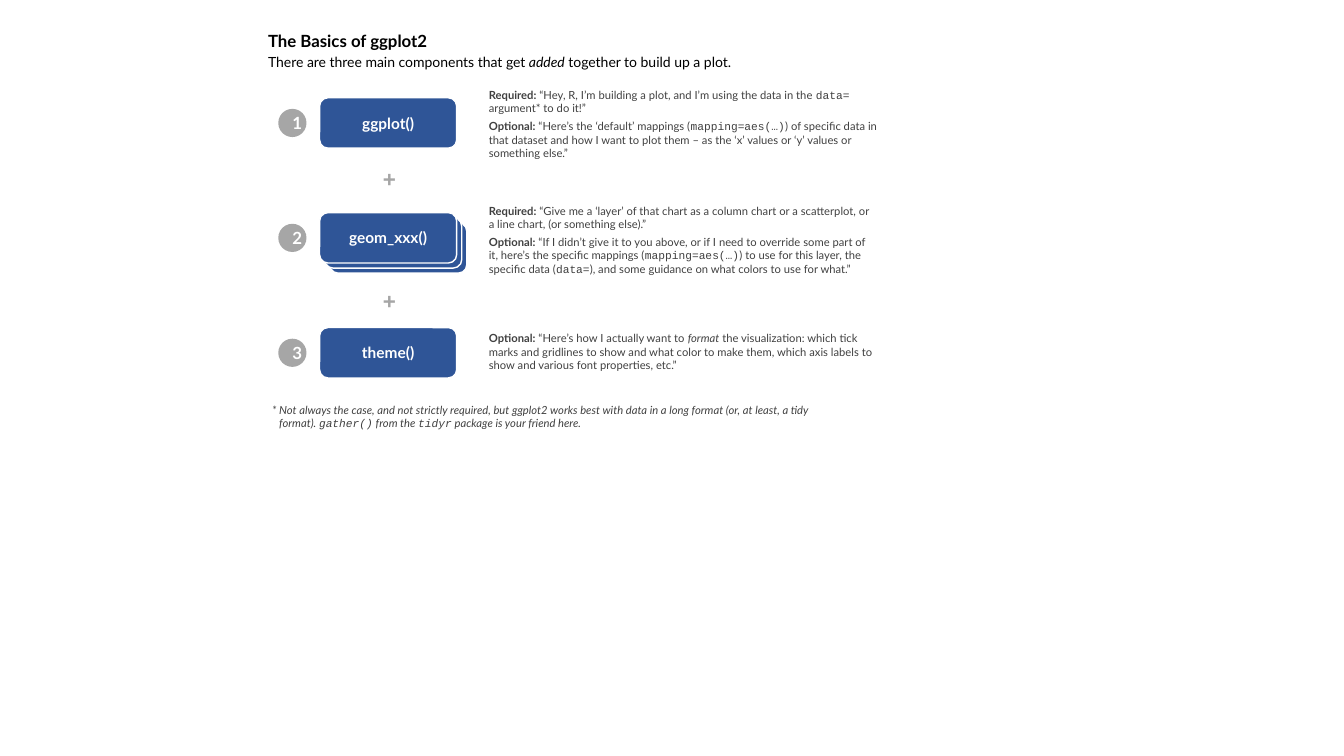
import pptx
import pptx.util
import pptx.dml.color
import pptx.enum.shapes
import pptx.enum.text

Inches = pptx.util.Inches
Align = pptx.enum.text.PP_ALIGN
Anchor = pptx.enum.text.MSO_ANCHOR
Shape = pptx.enum.shapes.MSO_SHAPE

BLUE, GRAY, WHITE, BLACK, DARK = "2F5597", "A6A6A6", "FFFFFF", "000000", "404040"
BOLD = {"bold": True}
ITALIC = {"italic": True}
CODE = {"name": "Courier New"}


def color(value):
    return pptx.dml.color.RGBColor.from_string(value)


class SlideBuilder:
    font = "Lato"

    def __init__(self, slide):
        self.slide = slide

    def fill_text(self, shape, paragraphs, size, ink, align=Align.LEFT, before=0, hanging=0, **base):
        frame = shape.text_frame
        frame.word_wrap = True
        for index, runs in enumerate(paragraphs):
            paragraph = frame.paragraphs[0] if index == 0 else frame.add_paragraph()
            paragraph.alignment = align
            paragraph.space_before = pptx.util.Pt(before)
            if hanging:
                properties = paragraph._p.get_or_add_pPr()
                properties.set("marL", str(Inches(hanging)))
                properties.set("indent", str(-Inches(hanging)))
            for text, style in runs:
                run = paragraph.add_run()
                run.text = text
                run.font.color.rgb = color(ink)
                values = {"name": self.font, "size": pptx.util.Pt(size), **base, **style}
                for name, value in values.items():
                    setattr(run.font, name, value)

    def text(self, left, top, width, height, paragraphs, size, ink, anchor=Anchor.TOP, **format_values):
        box = self.slide.shapes.add_textbox(Inches(left), Inches(top), Inches(width), Inches(height))
        box.text_frame.vertical_anchor = anchor
        box.text_frame.auto_size = pptx.enum.text.MSO_AUTO_SIZE.SHAPE_TO_FIT_TEXT
        self.fill_text(box, paragraphs, size, ink, **format_values)

    def shape(self, kind, left, top, width, height, fill, outline=None, label=None, size=11):
        shape = self.slide.shapes.add_shape(kind, Inches(left), Inches(top), Inches(width), Inches(height))
        shape.shadow.inherit = False
        shape.fill.solid()
        shape.fill.fore_color.rgb = color(fill)
        if outline:
            shape.line.color.rgb = color(outline)
            shape.line.width = pptx.util.Pt(1)
        else:
            shape.line.fill.background()
        if label:
            shape.text_frame.vertical_anchor = Anchor.MIDDLE
            self.fill_text(shape, [[(label, BOLD)]], size, WHITE, Align.CENTER)

    def function_box(self, left, top, label=None):
        self.shape(Shape.ROUNDED_RECTANGLE, left, top, 1.36, 0.5, BLUE, WHITE, label)

    def number(self, left, top, label):
        self.shape(Shape.OVAL, left, top, 0.28, 0.28, GRAY, label=label, size=12)


presentation = pptx.Presentation()
presentation.slide_width = Inches(13.33)
presentation.slide_height = Inches(7.5)
builder = SlideBuilder(presentation.slides.add_slide(presentation.slide_layouts[6]))

builder.text(2.56, 0.26, 6.18, 0.3, [[("The Basics of ggplot2", BOLD)]], 12, BLACK)
builder.text(2.56, 0.48, 6.18, 0.27, [[
    ("There are three main components that get ", {}),
    ("added", ITALIC),
    (" together to build up a plot.", {}),
]], 10, BLACK)

components = [
    ("ggplot()", 0, 0.82, 0.82, [
        [("Required: ", BOLD),
         ("“Hey, R, I’m building a plot, and I’m using the data in the ", {}),
         ("data= ", CODE),
         ("argument* to do it!”", {})],
        [("Optional:", BOLD),
         (" “Here’s the ‘default’ mappings (", {}),
         ("mapping=aes(…)", CODE),
         (") of specific data in that dataset and how I want to plot them – as the ‘x’ values "
          "or ‘y’ values or something else.”", {})],
    ]),
    ("geom_xxx()", 2, 1.97, 0.82, [
        [("Required: ", BOLD),
         ("“Give me a ‘layer’ of that chart as a column chart or a scatterplot, or a line chart, "
          "(or something else).”", {})],
        [("Optional:", BOLD),
         (" “If I didn’t give it to you above, or if I need to override some part of it, "
          "here’s the specific mappings (", {}),
         ("mapping=aes(…)", CODE),
         (") to use for this layer, the specific data (", {}),
         ("data=", CODE),
         ("), and some guidance on what colors to use for what.”", {})],
    ]),
    ("theme()", 0, 3.24, 0.5, [
        [("Optional:", BOLD),
         (" “Here’s how I actually want to ", {}),
         ("format", ITALIC),
         (" the visualization: which tick marks and gridlines to show and what color to make them, "
          "which axis labels to show and various font properties, etc.”", {})],
    ]),
]
for row, (name, layers, text_top, text_height, description) in enumerate(components):
    top = 0.97 + 1.14 * row
    for layer in range(layers, 0, -1):
        builder.function_box(3.17 + 0.05 * layer, top + 0.05 * layer)
    builder.function_box(3.17, top, name)
    builder.number(2.76, top + 0.11, str(row + 1))
    builder.text(4.75, text_top, 4.06, text_height, description, 8, DARK, Anchor.MIDDLE, before=3)

for top in (1.59, 2.8):
    builder.text(3.7, top, 0.31, 0.37, [[("+", BOLD)]], 16, GRAY, align=Align.CENTER, name="Arial")

builder.text(2.6, 3.95, 5.91, 0.37, [[
    ("* Not always the case, and not strictly required, but ggplot2 works best with data in a long "
     "format (or, at least, a tidy format). ", {}),
    ("gather()", CODE),
    (" from the ", {}),
    ("tidyr", CODE),
    (" package is your friend here.", {}),
]], 8, DARK, Anchor.MIDDLE, before=3, hanging=0.07, italic=True)

presentation.save("out.pptx")
